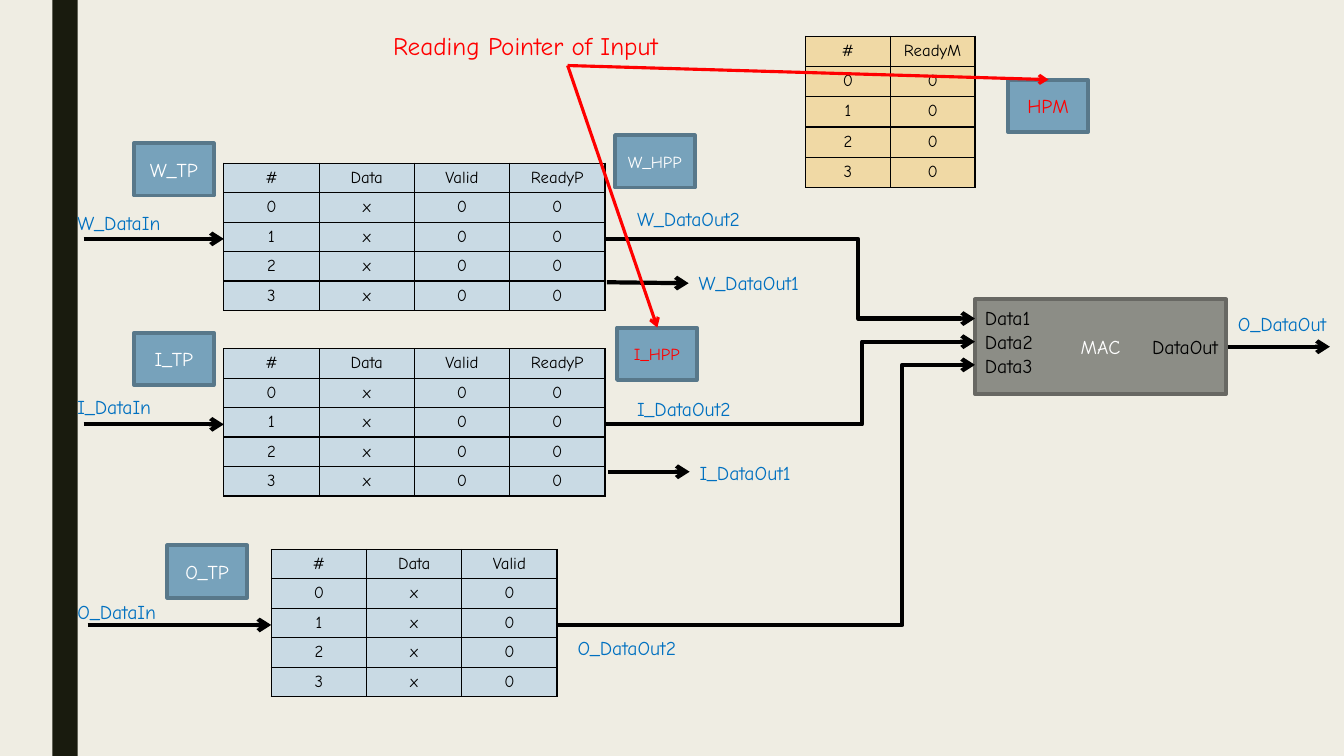
from dataclasses import dataclass

from lxml.etree import SubElement
from pptx import Presentation
from pptx.dml.color import RGBColor
from pptx.enum.shapes import MSO_CONNECTOR, MSO_SHAPE
from pptx.enum.text import MSO_ANCHOR, MSO_AUTO_SIZE, PP_ALIGN
from pptx.oxml.ns import qn
from pptx.shapes.autoshape import Shape
from pptx.shapes.connector import Connector
from pptx.slide import Slide
from pptx.util import Inches, Pt

FONT = "Comic Neue"
BLACK, WHITE, RED, BLUE = "000000", "FFFFFF", "FF0000", "0070C0"
BUFFER_FILL, READY_FILL = "C9DAE4", "F0D9A5"
ROW_COUNT = 4
MAC_LEFT = 9.67


@dataclass
class Buffer:
    left: float
    top: float
    headers: list[str]
    values: list[str]
    column_width: float = 0.945
    row_height: float = 0.29
    fill: str = BUFFER_FILL


@dataclass
class Block:
    text: str
    left: float
    top: float
    size: int = 14
    color: str = WHITE
    width: float = 0.79
    height: float = 0.52
    fill: str = "77A2BB"
    line: str = "58788A"


@dataclass
class Label:
    text: str
    left: float
    top: float
    width: float
    color: str = BLUE
    align: PP_ALIGN = PP_ALIGN.LEFT
    size: int = 14
    height: float = 0.34
    wrap: bool = False


@dataclass
class Arrow:
    start: tuple[float, float]
    end: tuple[float, float]
    color: str = BLACK
    width: float = 3
    bend: float | None = None


POINTER_HEADERS, POINTER_VALUES = ["#", "Data", "Valid", "ReadyP"], ["x", "0", "0"]
BUFFERS = [
    Buffer(2.22, 1.62, POINTER_HEADERS, POINTER_VALUES),
    Buffer(7.99, 0.36, ["#", "ReadyM"], ["0"], 0.84, 0.3, READY_FILL),
    Buffer(2.22, 3.46, POINTER_HEADERS, POINTER_VALUES),
    Buffer(2.69, 5.45, POINTER_HEADERS[:3], POINTER_VALUES[:2]),
]
BLOCKS = [
    Block("MAC", MAC_LEFT, 2.97, width=2.49, height=0.94, fill="8C8D86", line="686863"),
    Block("W_HPP", 6.1, 1.34, 12),
    Block("I_HPP", 6.12, 3.25, 12, RED),
    Block("HPM", 10, 0.79, color=RED),
    Block("W_TP", 1.33, 1.42),
    Block("I_TP", 1.33, 3.3),
    Block("O_TP", 1.66, 5.41),
]
LABELS = [
    Label("Data1", MAC_LEFT, 2.99, 0.76, BLACK),
    Label("Data2", MAC_LEFT, 3.22, 0.76, BLACK),
    Label("Data3", MAC_LEFT, 3.46, 0.76, BLACK),
    Label("DataOut", 11.19, 3.27, 0.99, BLACK, PP_ALIGN.RIGHT),
    Label("W_DataIn", 0.67, 2.04, 1.17),
    Label("I_DataIn", 0.67, 3.87, 1.08),
    Label("O_DataIn", 0.67, 5.9, 1.13),
    Label("W_DataOut1", 6.83, 2.64, 1.4),
    Label("I_DataOut1", 6.84, 4.52, 1.3),
    Label("W_DataOut2", 6.22, 2, 1.43),
    Label("I_DataOut2", 6.22, 3.89, 1.34),
    Label("O_DataOut2", 5.63, 6.26, 1.39),
    Label("O_DataOut", 12.18, 3.05, 1.27),
    Label("Reading Pointer of Input", 3.8, 0.25, 3.67, RED, size=18, height=0.4, wrap=True),
]
POINTER_START = (5.63, 0.65)
ARROWS = [
    Arrow((6, 2.37), (MAC_LEFT, 3.16), bend=8.51),
    Arrow((6, 4.21), (MAC_LEFT, 3.39), bend=8.55),
    Arrow((5.53, 6.2), (MAC_LEFT, 3.62), bend=8.95),
    Arrow((12.18, 3.44), (13.19, 3.44)),
    Arrow((0.83, 2.37), (2.22, 2.37)),
    Arrow((0.83, 4.21), (2.22, 4.21)),
    Arrow((0.87, 6.2), (2.69, 6.2)),
    Arrow((6.02, 2.8), (6.83, 2.81)),
    Arrow((6.03, 4.68), (6.84, 4.68)),
    Arrow(POINTER_START, (6.52, 3.25), RED, 2.25),
    Arrow(POINTER_START, (10.4, 0.79), RED, 2.25),
]


def rgb(color: str) -> RGBColor:
    return RGBColor.from_string(color)


def write(holder, text: str, size: int, color: str, align: PP_ALIGN) -> None:
    """Fill a shape or a table cell with one formatted paragraph."""
    holder.text_frame.text = text
    para = holder.text_frame.paragraphs[0]
    para.alignment = align
    font = para.runs[0].font
    font.name, font.size = FONT, Pt(size)
    font.color.rgb = rgb(color)


def add_rectangle(slide: Slide, left: float, top: float, width: float, height: float, fill: str) -> Shape:
    box = slide.shapes.add_shape(
        MSO_SHAPE.RECTANGLE, Inches(left), Inches(top), Inches(width), Inches(height))
    box.shadow.inherit = False
    box.fill.solid()
    box.fill.fore_color.rgb = rgb(fill)
    box.line.fill.background()
    return box


def add_block(slide: Slide, block: Block) -> None:
    box = add_rectangle(slide, block.left, block.top, block.width, block.height, block.fill)
    box.line.color.rgb = rgb(block.line)
    box.line.width = Pt(2.75)
    box.text_frame.vertical_anchor = MSO_ANCHOR.MIDDLE
    write(box, block.text, block.size, block.color, PP_ALIGN.CENTER)


def add_label(slide: Slide, label: Label) -> None:
    box = slide.shapes.add_textbox(
        Inches(label.left), Inches(label.top), Inches(label.width), Inches(label.height))
    write(box, label.text, label.size, label.color, label.align)
    box.text_frame.word_wrap = label.wrap
    box.text_frame.auto_size = MSO_AUTO_SIZE.SHAPE_TO_FIT_TEXT


def format_cell(cell, fill: str) -> None:
    properties = cell._tc.get_or_add_tcPr()
    for side in ("a:lnL", "a:lnR", "a:lnT", "a:lnB"):
        border = SubElement(properties, qn(side), w=str(Pt(1)))
        SubElement(SubElement(border, qn("a:solidFill")), qn("a:srgbClr"), val=BLACK)
    cell.fill.solid()
    cell.fill.fore_color.rgb = rgb(fill)


def add_buffer(slide: Slide, buffer: Buffer) -> None:
    rows = [buffer.headers] + [[str(index), *buffer.values] for index in range(ROW_COUNT)]
    columns = len(buffer.headers)
    table = slide.shapes.add_table(
        len(rows), columns, Inches(buffer.left), Inches(buffer.top),
        Inches(buffer.column_width * columns), Inches(buffer.row_height * len(rows))).table
    table.first_row = table.horz_banding = False
    for row_index, row in enumerate(rows):
        for column_index, text in enumerate(row):
            cell = table.cell(row_index, column_index)
            format_cell(cell, buffer.fill)
            write(cell, text, 12, BLACK, PP_ALIGN.CENTER)


def add_arrow(slide: Slide, arrow: Arrow) -> Connector:
    kind = MSO_CONNECTOR.STRAIGHT if arrow.bend is None else MSO_CONNECTOR.ELBOW
    points = [Inches(value) for value in (*arrow.start, *arrow.end)]
    connector = slide.shapes.add_connector(kind, *points)
    connector.line.color.rgb = rgb(arrow.color)
    connector.line.width = Pt(arrow.width)
    SubElement(connector.line._get_or_add_ln(), qn("a:tailEnd"), type="arrow")
    properties = connector._element.spPr
    SubElement(properties, qn("a:effectLst"))
    if arrow.bend is not None:
        share = (arrow.bend - arrow.start[0]) / (arrow.end[0] - arrow.start[0])
        guides = properties.find(qn("a:prstGeom")).find(qn("a:avLst"))
        SubElement(guides, qn("a:gd"), name="adj1", fmla=f"val {round(share * 100000)}")
    return connector


def main() -> None:
    deck = Presentation()
    deck.slide_width, deck.slide_height = Inches(13.33), Inches(7.5)
    page = deck.slides.add_slide(deck.slide_layouts[6])
    page.background.fill.solid()
    page.background.fill.fore_color.rgb = rgb("EFEDE3")
    add_rectangle(page, 0.52, 0, 0.25, 7.5, "191B0E")
    for draw, items in ((add_buffer, BUFFERS), (add_block, BLOCKS),
                        (add_label, LABELS), (add_arrow, ARROWS)):
        for item in items:
            draw(page, item)
    deck.save("out.pptx")


if __name__ == "__main__":
    main()
